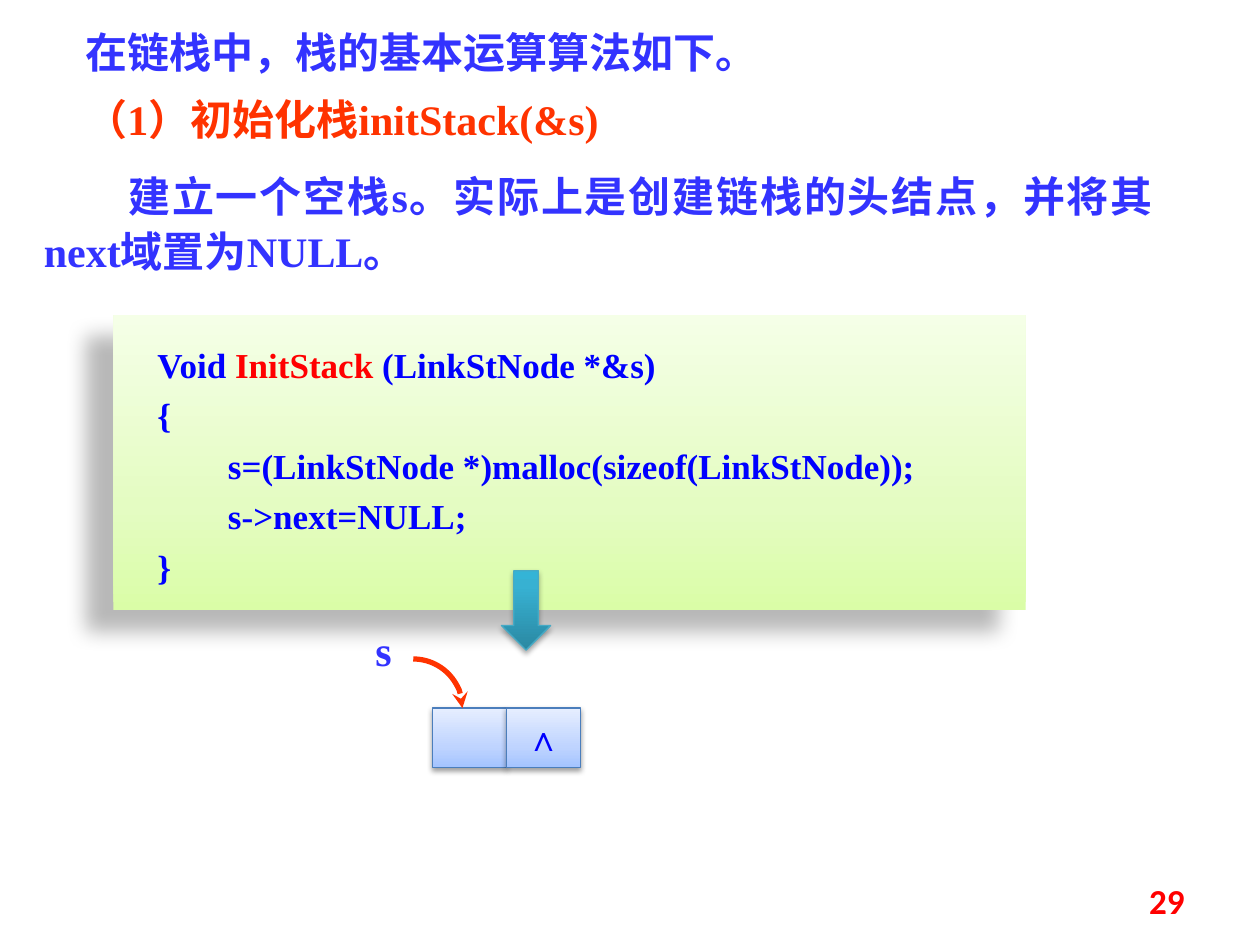
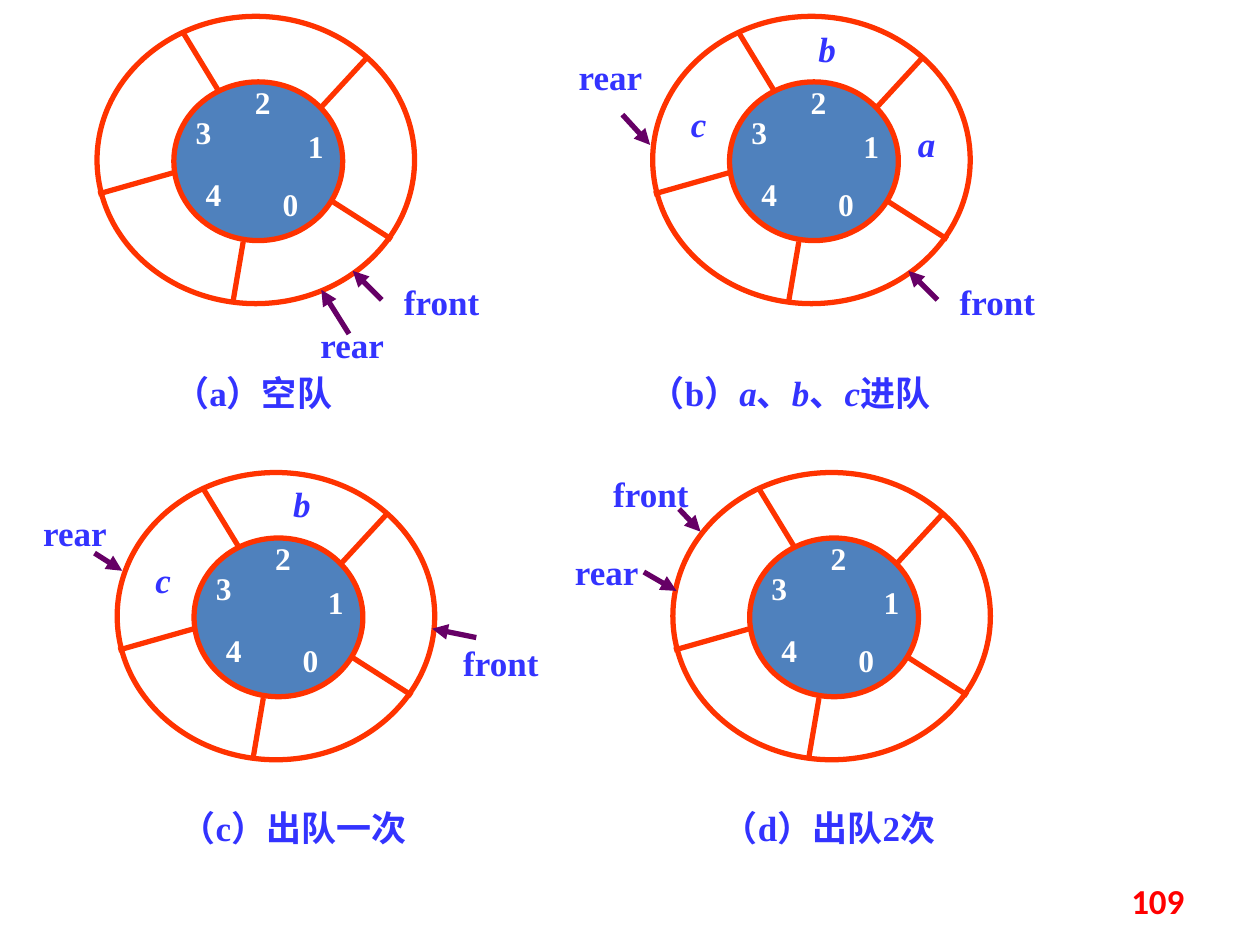
"""Build two slides on the linked stack and the circular queue."""
from copy import deepcopy

from lxml import etree
from pptx import Presentation, util as u
from pptx.dml.color import RGBColor
from pptx.enum import shapes as kinds, text as t
from pptx.oxml.ns import qn

WIDTH, HEIGHT = 10, 7.5
COLORS = {"blue": "3333FF", "code": "0000FF", "orange": "FF3300", "red": "FF0000",
          "white": "FFFFFF", "disc": "4F81BD", "purple": "660066", "black": "000000",
          "node_line": "4B7EBC", "arrow_line": "46AAC5"}
GRADIENTS = {"code": [(0, "DAFDA7"), (0.35, "E4FCC2"), (1, "F5FFE7")],
             "node": [(0, "A4C4FF"), (0.35, "BFD4FF"), (1, "E6EEFF")],
             "arrow": [(0, "2A88A2"), (0.8, "37B1D2"), (1, "34B4D6")]}
SHADOWS = {"code": (28, 11.8, 19.7, 141), "node": (38, 3.15, 1.57, 90),
           "arrow": (35, 3.15, 1.81, 90)}
BODY_FONT, NUMBER_FONT = "Times New Roman", "Calibri"
SHAPE = kinds.MSO_SHAPE
CENTER, JUSTIFY, RIGHT = t.PP_ALIGN.CENTER, t.PP_ALIGN.JUSTIFY, t.PP_ALIGN.RIGHT

INTRO = [
    ("在链栈中，栈的基本运算算法如下。", "blue", 0.9, 0.33),
    ("（1）初始化栈initStack(&s)", "orange", 0.9, 0.33),
    ("建立一个空栈s。实际上是创建链栈的头结点，并将其next域置为NULL。", "blue", 1.1, 0.67),
]
CODE = [
    (0, [("Void ", "code"), ("InitStack", "red"), (" (LinkStNode *&s)", "code")]),
    (0, [("{", "code")]),
    (1, [("s=(LinkStNode *)malloc(sizeof(LinkStNode));", "code")]),
    (1, [("s->next=NULL;", "code")]),
    (0, [("}", "code")]),
]
CODE_INDENT = 0.56

RING_LEFT, RING_TOP = 0.77, 0.13
COLUMN_STEP, ROW_STEP, ROW_SHIFT = 4.41, 3.62, 0.16
OUTER = (0, 0, 2.52, 2.28)
INNER = (0.61, 0.52, 1.34, 1.26)
SPOKES = [(1.87, 1.47, 2.34, 1.77), (1.78, 0.72, 2.14, 0.33), (0.69, 0.14, 0.97, 0.6),
          (1.16, 1.79, 1.08, 2.26), (0.01, 1.41, 0.61, 1.24)]
DIGITS = [(1.38, 1.34), (1.58, 0.88), (1.16, 0.53), (0.69, 0.77), (0.77, 1.26)]
FRONT_START = ("front", (2.34, 2.1), (2.26, 2.25, 2.03, 2.02))
RINGS = [
    {"caption": ["（a）空队"], "center": 1.24, "below": 2.77, "width": 1.89, "items": {},
     "pointers": [FRONT_START, ("rear", (1.63, 2.44), (2, 2.52, 1.78, 2.17))]},
    {"caption": ["（b）", "a", "、", "b", "、", "c", "进队"],
     "center": 1.09, "below": 2.77, "width": 3.47,
     "items": {"a": (2.02, 0.84), "b": (1.23, 0.09), "c": (0.21, 0.68)},
     "pointers": [FRONT_START, ("rear", (-0.73, 0.31), (-0.24, 0.78, -0.02, 1.02))]},
    {"caption": ["（c）出队一次"], "center": 1.4, "below": 2.6, "width": 3.47,
     "items": {"b": (1.31, 0.08), "c": (0.21, 0.68)},
     "pointers": [("front", (2.65, 1.34), (2.85, 1.31, 2.5, 1.24)),
                  ("rear", (-0.73, 0.31), (-0.18, 0.64, 0.04, 0.78))]},
    {"caption": ["（d）出队2次"], "center": 1.24, "below": 2.6, "width": 3.47, "items": {},
     "pointers": [("front", (-0.57, 0), (0.05, 0.29, 0.22, 0.47)),
                  ("rear", (-0.92, 0.62), (-0.23, 0.79, 0.03, 0.94))]},
]


def inches(values):
    return [u.Inches(value) for value in values]


def rgb(name):
    return RGBColor.from_string(COLORS[name])


def add_runs(paragraph, runs, size, align=None, font=BODY_FONT):
    """Add (text, color, italic) runs to a paragraph."""
    paragraph.alignment = align
    for content, color, *italic in runs:
        run = paragraph.add_run()
        run.text = content
        run.font.size, run.font.name, run.font.bold = u.Pt(size), font, True
        run.font.italic = True if any(italic) else None
        run.font.color.rgb = rgb(color)


def half_line_before(paragraph):
    """Put half a line of space before a paragraph."""
    paragraph.space_before = u.Pt(1)
    spacing = paragraph._p.pPr.find(qn("a:spcBef"))
    spacing.remove(spacing[0])
    etree.SubElement(spacing, qn("a:spcPct"), val="50000")


def indent_first_line(paragraph, length):
    properties = paragraph._p.get_or_add_pPr()
    properties.set("marL", "0")
    properties.set("indent", str(u.Inches(length)))


def set_margins(frame, left, top, right, bottom):
    frame.margin_left, frame.margin_top, frame.margin_right, frame.margin_bottom = inches(
        (left, top, right, bottom))


def paragraphs_for(frame, count):
    return [frame.paragraphs[0]] + [frame.add_paragraph() for _ in range(count - 1)]


def add_box(shapes, box):
    frame = shapes.add_textbox(*inches(box)).text_frame
    frame.word_wrap = True
    frame.auto_size = t.MSO_AUTO_SIZE.SHAPE_TO_FIT_TEXT
    return frame


def add_label(shapes, box, runs, size, tight=True):
    frame = add_box(shapes, box)
    if tight:
        set_margins(frame, 0, 0, 0, 0)
    add_runs(frame.paragraphs[0], runs, size, CENTER)
    half_line_before(frame.paragraphs[0])


def set_line(line, color, width):
    line.color.rgb, line.width = rgb(color), u.Pt(width)


def add_arrowhead(line, kind):
    etree.SubElement(line._get_or_add_ln(), qn("a:tailEnd"), type=kind)


def add_line(shapes, ends, color, arrow=False):
    connector = shapes.add_connector(kinds.MSO_CONNECTOR.STRAIGHT, *inches(ends))
    set_line(connector.line, color, 3)
    if arrow:
        add_arrowhead(connector.line, "triangle")
    etree.SubElement(connector._element.spPr, qn("a:effectLst"))


def add_outline(shapes, kind, box, color, fill=None):
    shape = shapes.add_shape(kind, *inches(box))
    shape.shadow.inherit = False
    if fill:
        shape.fill.solid()
        shape.fill.fore_color.rgb = rgb(fill)
    else:
        shape.fill.background()
    set_line(shape.line, color, 3)
    return shape


def add_glossy(shapes, kind, box, style, line=None):
    """Add a shape with a three-stop gradient and a soft shadow."""
    shape = shapes.add_shape(kind, *inches(box))
    shape.fill.gradient()
    shape.fill.gradient_angle = 90
    stops = next(shape._element.iter(qn("a:gsLst")))
    stops.append(deepcopy(stops[0]))
    for stop, (position, color) in zip(shape.fill.gradient_stops, GRADIENTS[style]):
        stop.position, stop.color.rgb = position, RGBColor.from_string(color)
    if line:
        set_line(shape.line, line, 0.75)
    else:
        shape.line.fill.background()
    shape.shadow.inherit = False
    alpha, blur, distance, angle = SHADOWS[style]
    shadow = etree.SubElement(
        shape._element.spPr.find(qn("a:effectLst")), qn("a:outerShdw"),
        blurRad=str(u.Pt(blur)), dist=str(u.Pt(distance)), dir=str(angle * 60000),
        rotWithShape="0")
    color = etree.SubElement(shadow, qn("a:srgbClr"), val=COLORS["black"])
    etree.SubElement(color, qn("a:alpha"), val=str(alpha * 1000))
    return shape


def add_slide(presentation, number):
    slide = presentation.slides.add_slide(presentation.slide_layouts[6])
    frame = slide.shapes.add_textbox(*inches((7.17, 6.95, 2.33, 0.4))).text_frame
    frame.word_wrap, frame.vertical_anchor = True, t.MSO_ANCHOR.MIDDLE
    add_runs(frame.paragraphs[0], [(number, "red")], 20, RIGHT, NUMBER_FONT)
    return slide


def add_intro(shapes):
    frame = add_box(shapes, (0.25, 0.21, 9, 2.12))
    for paragraph, (content, color, spacing, indent) in zip(
            paragraphs_for(frame, len(INTRO)), INTRO):
        add_runs(paragraph, [(content, color)], 24, JUSTIFY)
        paragraph.line_spacing = spacing
        half_line_before(paragraph)
        indent_first_line(paragraph, indent)


def add_code(shapes):
    frame = add_glossy(shapes, SHAPE.RECTANGLE, (0.9, 2.5, 7.24, 2.34), "code").text_frame
    set_margins(frame, 0.35, 0.16, 0.1, 0.16)
    frame.word_wrap, frame.vertical_anchor = True, t.MSO_ANCHOR.TOP
    frame.auto_size = t.MSO_AUTO_SIZE.SHAPE_TO_FIT_TEXT
    for paragraph, (level, runs) in zip(paragraphs_for(frame, len(CODE)), CODE):
        add_runs(paragraph, runs, 20, t.PP_ALIGN.LEFT)
        paragraph.line_spacing = 1.2
        indent_first_line(paragraph, level * CODE_INDENT)


def add_node(shapes):
    left, top, width, height = 3.43, 5.62, 0.59, 0.47
    cells = [add_glossy(shapes, SHAPE.RECTANGLE, (left + column * width, top, width, height),
                        "node", "node_line") for column in range(2)]
    frame = cells[1].text_frame
    frame.word_wrap, frame.vertical_anchor = False, t.MSO_ANCHOR.MIDDLE
    add_runs(frame.paragraphs[0], [("∧", "code")], 20, CENTER)
    curve = add_outline(shapes, SHAPE.ARC, (2.89, 5.23, 0.78, 0.78), "orange")
    add_arrowhead(curve.line, "stealth")
    add_label(shapes, (2.81, 4.91, 0.47, 0.5), [("s", "blue")], 24, tight=False)
    add_glossy(shapes, SHAPE.DOWN_ARROW, (3.98, 4.53, 0.39, 0.63), "arrow", "arrow_line")


def add_ring(shapes, ring, index):
    row, column = divmod(index, 2)
    left = RING_LEFT + column * COLUMN_STEP + row * ROW_SHIFT
    top = RING_TOP + row * ROW_STEP

    def place(x, y, *size):
        return (left + x, top + y, *size)

    def ends(x1, y1, x2, y2):
        return place(x1, y1) + place(x2, y2)

    add_outline(shapes, SHAPE.OVAL, place(*INNER), "orange", "disc")
    add_outline(shapes, SHAPE.OVAL, place(*OUTER), "orange")
    for spoke in SPOKES:
        add_line(shapes, ends(*spoke), "orange")
    for digit, spot in enumerate(DIGITS):
        add_label(shapes, place(*spot, 0.31, 0.3), [(str(digit), "white")], 18)
    for item, spot in ring["items"].items():
        add_label(shapes, place(*spot, 0.31, 0.33), [(item, "blue", True)], 20)
    for word, spot, arrow in ring["pointers"]:
        add_line(shapes, ends(*arrow), "purple", arrow=True)
        add_label(shapes, place(*spot, 0.79, 0.33), [(word, "blue")], 20)
    caption = [(part, "blue", part in ring["items"]) for part in ring["caption"]]
    width = ring["width"]
    add_label(shapes, place(ring["center"] - width / 2, ring["below"], width, 0.44),
              caption, 20, tight=False)


presentation = Presentation()
presentation.slide_width, presentation.slide_height = inches((WIDTH, HEIGHT))

stack_slide = add_slide(presentation, "29")
add_intro(stack_slide.shapes)
add_code(stack_slide.shapes)
add_node(stack_slide.shapes.add_group_shape().shapes)

queue_slide = add_slide(presentation, "109")
for index, ring in enumerate(RINGS):
    add_ring(queue_slide.shapes.add_group_shape().shapes, ring, index)

presentation.save("out.pptx")
